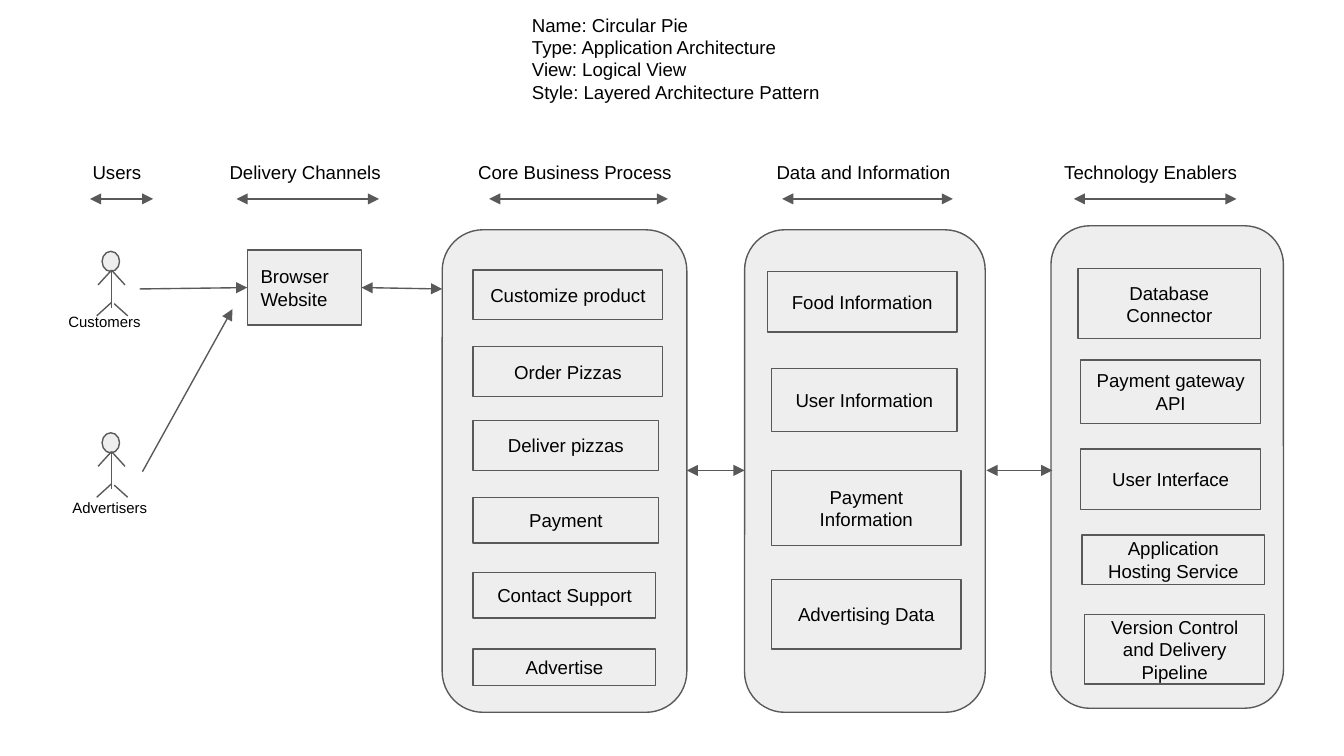
"""Build the layered application architecture slide on a 100-column grid."""
from lxml import etree
from pptx import Presentation
from pptx.dml.color import RGBColor
from pptx.enum.shapes import MSO_CONNECTOR, MSO_SHAPE
from pptx.enum.text import MSO_ANCHOR, PP_ALIGN
from pptx.oxml.ns import qn
from pptx.util import Inches, Pt

RECTANGLE = MSO_SHAPE.RECTANGLE
ROUNDED = MSO_SHAPE.ROUNDED_RECTANGLE
OVAL = MSO_SHAPE.OVAL
STRAIGHT = MSO_CONNECTOR.STRAIGHT
MIDDLE, TOP = MSO_ANCHOR.MIDDLE, MSO_ANCHOR.TOP
LEFT, CENTER = PP_ALIGN.LEFT, PP_ALIGN.CENTER

COLORS = {"text": "000000", "fill": "EEEEEE", "line": "595959"}
FONT = "Arial"
SLIDE_WIDTH = Inches(10)
SLIDE_HEIGHT = SLIDE_WIDTH * 9 // 16
CELL = SLIDE_WIDTH // 100
LINE_WIDTH = Pt(0.75)

TITLE_LINES = [
    "Name: Circular Pie",
    "Type: Application Architecture",
    "View: Logical View",
    "Style: Layered Architecture Pattern",
]

# Label, label column, label width, arrow start, arrow end
HEADINGS = [
    ("Users", 5.9, 5.8, 6.7, 11.4),
    ("Delivery Channels", 16.1, 14.1, 17.6, 28.2),
    ("Core Business Process", 34.6, 18.6, 36.4, 49.7),
    ("Data and Information", 56.8, 16, 58.2, 70.9),
    ("Technology Enablers", 78.2, 15.5, 79.9, 92),
]

# Label, head row, label column, label row, label width
ACTORS = [
    ("Customers", 18.7, 4.1, 22.6, 9.3),
    ("Advertisers", 32.2, 4.4, 36.4, 7.7),
]

# Limbs of an actor, measured from the middle of the top of its head
LIMBS = [
    (0, 1.4, 0, 4.2),
    (1, 2.5, 0, 1.4),
    (0, 1.4, -1, 2.5),
    (0, 3.8, -1.1, 4.8),
    (0.2, 3.9, 1.2, 4.8),
]

# Panel position, then the label, column, row, width and height of its boxes
PANELS = [
    ((32.9, 17.1, 18.2, 35.9), [
        ("Customize product", 35.2, 20.1, 14.1, 3.7),
        ("Order Pizzas", 35.2, 25.8, 14.1, 3.7),
        ("Deliver pizzas", 35.2, 31.3, 13.8, 3.7),
        ("Payment", 35.2, 37, 13.8, 3.4),
        ("Contact Support", 35.2, 42.6, 13.6, 3.4),
        ("Advertise", 35.2, 48.3, 13.6, 2.7),
    ]),
    ((55.4, 17.1, 17.9, 35.9), [
        ("Food Information", 57.1, 20.2, 14.1, 4.5),
        ("User Information", 57.4, 27.4, 13.8, 4.7),
        ("Payment Information", 57.4, 35, 14.1, 5.6),
        ("Advertising Data", 57.4, 43.1, 14.1, 5.2),
    ]),
    ((78.2, 16.8, 17.3, 35.9), [
        ("Database Connector", 80.2, 20, 13.6, 5.2),
        ("Payment gateway API", 80.4, 26.8, 13.4, 4.7),
        ("User Interface", 80.4, 33.4, 13.4, 4.5),
        ("Application Hosting Service", 80.5, 39.8, 13.6, 3.7),
        ("Version Control and Delivery Pipeline", 80.7, 45.7, 13.4, 5.2),
    ]),
]

# Start column and row, end column and row, whether both ends have a head
FLOWS = [
    (10.4, 21.5, 18.4, 21.4, False),
    (10.6, 35.1, 17.3, 23, False),
    (26.9, 21.4, 32.9, 21.5, True),
    (51.1, 35, 55.4, 35, True),
    (73.4, 35, 78.3, 35, True),
]


def cells(*counts):
    """Turn grid counts into lengths."""
    return [round(count * CELL) for count in counts]


def color(name):
    """Look up a palette colour."""
    return RGBColor.from_string(COLORS[name])


def write(shape, lines, size=10, alignment=LEFT, anchor=TOP):
    """Fill a shape with one paragraph per line."""
    frame = shape.text_frame
    frame.word_wrap = True
    frame.vertical_anchor = anchor
    frame.margin_left = frame.margin_right = CELL
    frame.margin_top = frame.margin_bottom = CELL
    frame.text = "\n".join(lines)
    for paragraph in frame.paragraphs:
        paragraph.alignment = alignment
        paragraph.font.name = FONT
        paragraph.font.size = Pt(size)
        paragraph.font.color.rgb = color("text")


def add_label(slide, lines, position, size=10):
    """Add a plain text box."""
    write(slide.shapes.add_textbox(*cells(*position)), lines, size)


def add_outlined(slide, kind, position):
    """Add a grey shape with a thin outline."""
    shape = slide.shapes.add_shape(kind, *cells(*position))
    shape.shadow.inherit = False
    shape.fill.solid()
    shape.fill.fore_color.rgb = color("fill")
    shape.line.color.rgb = color("line")
    shape.line.width = LINE_WIDTH
    return shape


def add_box(slide, label, position, alignment=CENTER):
    """Add a labelled rectangle."""
    box = add_outlined(slide, RECTANGLE, position)
    write(box, [label], alignment=alignment, anchor=MIDDLE)


def add_line(slide, ends, heads=()):
    """Add a straight line with triangles at the named ends."""
    connector = slide.shapes.add_connector(STRAIGHT, *cells(*ends))
    connector.line.color.rgb = color("line")
    connector.line.width = LINE_WIDTH
    properties = connector.element.spPr
    outline = properties.find(qn("a:ln"))
    for head in heads:
        etree.SubElement(outline, qn(f"a:{head}"), type="triangle")
    etree.SubElement(properties, qn("a:effectLst"))


def add_arrow(slide, ends, both_ways):
    """Add an arrow with one or two heads."""
    add_line(slide, ends, ("headEnd", "tailEnd") if both_ways else ("tailEnd",))


def add_heading(slide, label, column, width, start, end):
    """Add a layer name above its two-way arrow."""
    add_label(slide, [label], (column, 11.1, width, 3.7))
    add_arrow(slide, (start, 14.8, end, 14.8), True)


def add_actor(slide, label, row, label_column, label_row, label_width):
    """Add a stick figure and its name."""
    middle = 8.3
    add_outlined(slide, OVAL, (middle - 0.7, row, 1.3, 1.5))
    for x1, y1, x2, y2 in LIMBS:
        add_line(slide, (middle + x1, row + y1, middle + x2, row + y2))
    add_label(slide, [label], (label_column, label_row, label_width, 3.4), 8)


def add_panel(slide, position, boxes):
    """Add a rounded layer panel and the boxes inside it."""
    add_outlined(slide, ROUNDED, position)
    for label, *box_position in boxes:
        add_box(slide, label, box_position)


def main():
    """Compose and save the slide."""
    presentation = Presentation()
    presentation.slide_width = SLIDE_WIDTH
    presentation.slide_height = SLIDE_HEIGHT
    slide = presentation.slides.add_slide(presentation.slide_layouts[6])
    add_label(slide, TITLE_LINES, (38.6, 0, 24, 8.8))
    for heading in HEADINGS:
        add_heading(slide, *heading)
    for actor in ACTORS:
        add_actor(slide, *actor)
    add_box(slide, "Browser Website", (18.4, 18.6, 8.5, 5.6), LEFT)
    for position, boxes in PANELS:
        add_panel(slide, position, boxes)
    for *ends, both_ways in FLOWS:
        add_arrow(slide, ends, both_ways)
    presentation.save("out.pptx")


main()
